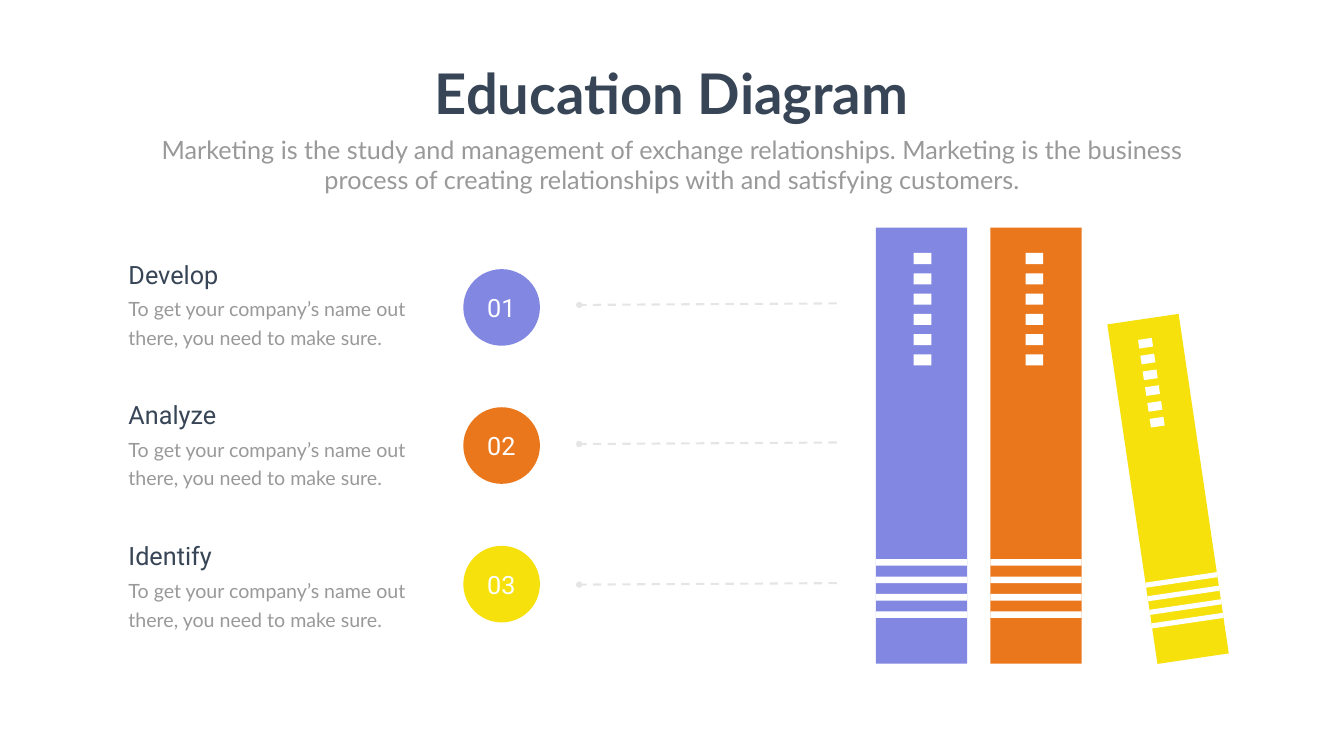
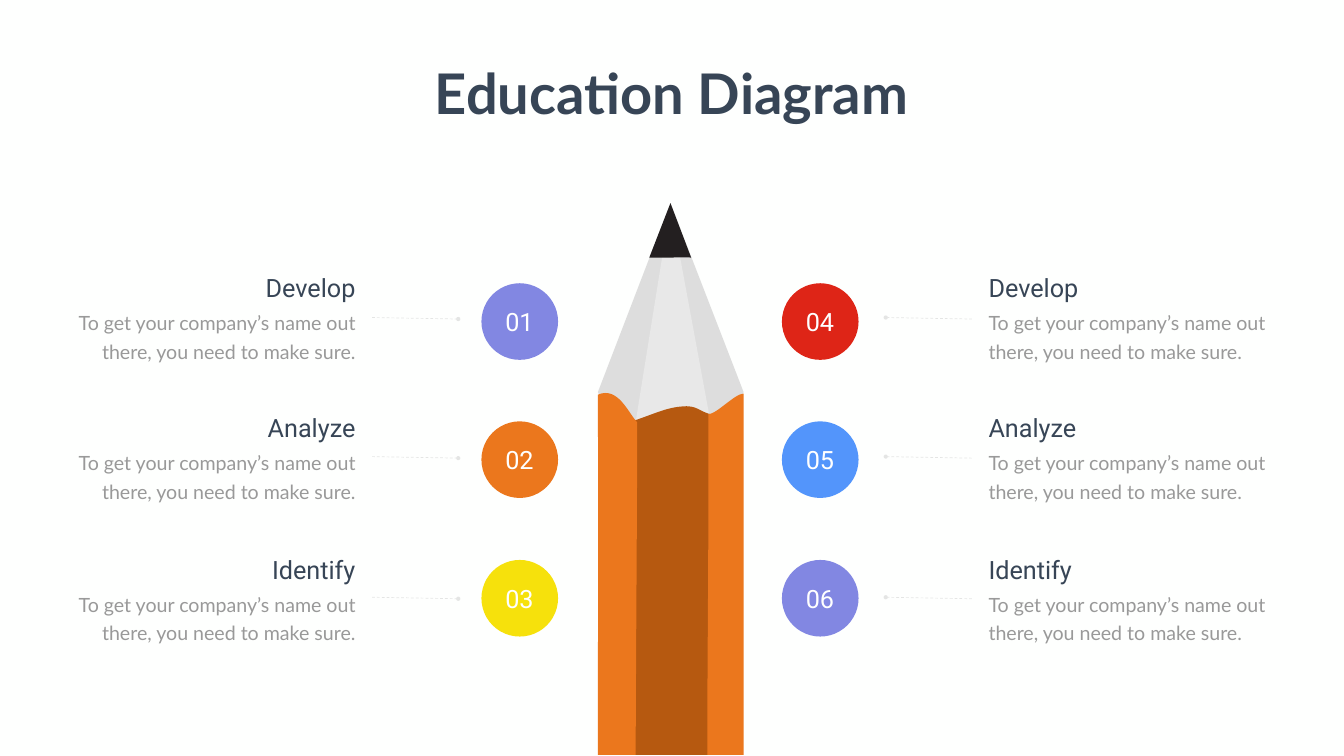
import math

from lxml import etree
from pptx import Presentation
from pptx import util as u
from pptx.dml.color import RGBColor
from pptx.enum import dml, shapes, text
from pptx.oxml import ns

COLOURS = {
    "page": "FEFFFE", "white": "FFFFFF", "ink": "374556", "muted": "999999",
    "leader": "808080", "violet": "8287E2", "orange": "EB771D",
    "yellow": "F6E10C", "red": "DE2517", "blue": "5395FB",
    "wood": "BFBFBF", "facet": "F2F2F2", "core": "B65910", "lead": "231F20",
}
# name: (font, size, colour, bold, line spacing in points)
STYLES = {
    "title": ("Lato", 80, "ink", True, None),
    "subtitle": ("Lato", 36, "muted", False, None),
    "heading": ("Roboto", 36, "ink", False, None),
    "detail": ("Lato", 28, "muted", False, 40.8),
    "number": ("Roboto", 36, "white", False, None),
}
ALIGN = text.PP_ALIGN
COLS, ROWS = 26.66, 15          # slide grid, one-inch cells
# Drop of each step below the first one
TEXT_ROWS = (0, 2.78, 5.59)
BADGE_ROWS = (0, 2.74, 5.49)
LEADER_ROWS = (0, 2.76, 5.55)
BADGE = 1.52
HEADINGS = ("Develop", "Analyze", "Identify")
DETAIL = "To get your company’s name out there, you need to make sure."
SUBTITLE = ("Marketing is the study and management of exchange relationships. "
            "Marketing is the business process of creating relationships "
            "with and satisfying customers.")


def grid(*cells):
    return [u.Inches(cell) for cell in cells]


def rgb(name):
    return RGBColor.from_string(COLOURS[name])


def set_opacity(shape, percent):
    for colour in shape._element.spPr.iter(ns.qn("a:srgbClr")):
        etree.SubElement(colour, ns.qn("a:alpha"), val=str(percent * 1000))


def write(shape, words, style, align, wrap=True):
    font, size, colour, bold, spacing = STYLES[style]
    frame = shape.text_frame
    frame.text = words
    frame.word_wrap = wrap
    frame.auto_size = text.MSO_AUTO_SIZE.NONE
    frame.vertical_anchor = text.MSO_ANCHOR.TOP
    paragraph = frame.paragraphs[0]
    paragraph.alignment = align
    paragraph.space_before = u.Pt(0)
    if spacing:
        paragraph.line_spacing = u.Pt(spacing)
    for run in paragraph.runs:
        run.font.name, run.font.size, run.font.bold = font, u.Pt(size), bold
        run.font.color.rgb = rgb(colour)


def add_label(slide, box, words, style, align):
    write(slide.shapes.add_textbox(*grid(*box)), words, style, align)


def paint(shape, colour):
    shape.shadow.inherit = False
    shape.fill.solid()
    shape.fill.fore_color.rgb = rgb(colour)
    shape.line.fill.background()


def add_block(slide, kind, box, colour, angle=0):
    block = slide.shapes.add_shape(kind, *grid(*box))
    block.rotation = angle
    paint(block, colour)


def fill_placeholder(placeholder, box, words, style, wrap=True):
    placeholder.left, placeholder.top, placeholder.width, placeholder.height = grid(*box)
    write(placeholder, words, style, ALIGN.CENTER, wrap)


def add_title(slide):
    fill_placeholder(slide.shapes.title, (8.44, 1.12, 9.77, 1.45),
                     "Education Diagram", "title", wrap=False)


def add_leader(slide, start, end, weight):
    leader = slide.shapes.add_connector(
        shapes.MSO_CONNECTOR.STRAIGHT, *grid(*start, *end))
    leader.line.color.rgb = rgb("leader")
    leader.line.width = u.Pt(weight)
    leader.line.dash_style = dml.MSO_LINE.DASH
    set_opacity(leader, 20)
    properties = leader._element.spPr
    etree.SubElement(properties.find(ns.qn("a:ln")), ns.qn("a:tailEnd"), type="oval")
    etree.SubElement(properties, ns.qn("a:effectLst"))


def add_steps(slide, top, text_edge, align, badge_at, badge_angle, leader, weight,
              colours, first=1):
    """Three numbered steps; text_edge is the side the text is aligned to."""
    (start_x, start_y), (end_x, end_y) = leader
    badge_left, first_badge_top = badge_at

    def text_box(y, width, height):
        left = text_edge - width if align == ALIGN.RIGHT else text_edge
        return left, y, width, height

    # Numbered badges
    for i, colour in enumerate(colours):
        badge_top = first_badge_top + BADGE_ROWS[i]
        add_block(slide, shapes.MSO_SHAPE.OVAL,
                  (badge_left, badge_top, BADGE, BADGE), colour, badge_angle)
        add_label(slide, (badge_left + 0.18, badge_top + 0.41, 1.15, 0.71),
                  f"{first + i:02}", "number", ALIGN.CENTER)
    # Dashed leaders
    for drop in LEADER_ROWS:
        add_leader(slide, (start_x, top + drop + start_y),
                   (end_x, top + drop + end_y), weight)
    # Details and headings
    for heading, drop in zip(HEADINGS, TEXT_ROWS):
        add_label(slide, text_box(top + drop + 0.66, 6.05, 1.19),
                  DETAIL, "detail", align)
        add_label(slide, text_box(top + drop, 5.11, 0.71), heading, "heading", align)


def add_book(slide, centre, length, thickness, colour, angle=270, slot_shift=0):
    """Book spine, drawn lying down and turned; parts are shares of its size."""
    turn = math.radians(angle)

    def add_part(share_along, share_l, share_t, part_colour, shift=0):
        part_l, part_t = share_l * length, share_t * thickness
        along = (0.5 - share_along) * length
        x = centre[0] + along * math.cos(turn) + shift
        y = centre[1] + along * math.sin(turn)
        add_block(slide, shapes.MSO_SHAPE.RECTANGLE,
                  (x - part_l / 2, y - part_t / 2, part_l, part_t),
                  part_colour, angle)

    add_part(0.5, 1, 1, colour)
    for band in reversed(range(4)):
        add_part(0.768 + band * 0.04, 0.015, 1, "white")
    for slot in reversed(range(6)):
        add_part(0.071 + slot * 0.0465, 0.0255, 0.193, "white", slot_shift)


def middle_of(start, bend_1, bend_2, end):
    """Halfway point of a cubic curve, which bounds it closely."""
    return tuple((a + 3 * b + 3 * c + d) / 8
                 for a, b, c, d in zip(start, bend_1, bend_2, end))


def add_outline(slide, origin, start, moves, colour, opacity=100):
    """Each move holds an end point, or two bends and an end point."""
    def place(point):
        return grid(origin[0] + point[0], origin[1] + point[1])

    points = [start]
    for move in moves:
        if len(move) == 3:
            points.append(middle_of(points[-1], *move))
        points.append(move[-1])
    builder = slide.shapes.build_freeform(*place(start))
    builder.add_line_segments([place(point) for point in points[1:]], close=True)
    outline = builder.convert_to_shape()

    # Replace the straight segments by the lines and curves of the moves
    path_xml = next(outline._element.iter(ns.qn("a:path")))
    for segment in path_xml.findall(ns.qn("a:lnTo")):
        path_xml.remove(segment)
    closing = path_xml.find(ns.qn("a:close"))
    for move in moves:
        segment = etree.Element(ns.qn("a:cubicBezTo" if len(move) == 3 else "a:lnTo"))
        for x, y in map(place, move):
            etree.SubElement(segment, ns.qn("a:pt"),
                             x=str(x - outline.left), y=str(y - outline.top))
        closing.addprevious(segment)

    paint(outline, colour)
    if opacity < 100:
        set_opacity(outline, opacity)


def add_pencil(slide, left, top):
    width, middle, foot = 2.89, 1.44, 10.95
    tip = (middle, 0)
    parts = [
        # Sharpened wood and its light facet
        ((0, 3.75), [[tip], [(width, 3.75)],
                     [(1.94, 5.96), (0.97, 5.89), (0, 3.75)]], "wood", 52),
        ((0.71, 4.58), [[(middle, 0.04)], [(2.26, 4.48)],
                        [(1.73, 4.93), (1.3, 4.86), (0.71, 4.58)]], "facet", 54),
        # Painted body: middle, left and right sides
        ((0.58, foot), [[(0.57, 8.96), (0.59, 7.25), (0.58, 4.36)],
                        [(1.13, 4.19), (1.35, 4.04), (1.76, 4.03)],
                        [(2.01, 4.03), (2.09, 4.2), (2.34, 4.2)],
                        [(2.35, 7.11), (2.32, 8.89), (2.33, foot)]], "core"),
        ((0, foot), [[(0, 8.46), (0.01, 7.06), (0, 3.8)],
                     [(0.4, 3.63), (0.6, 4.16), (0.78, 4.35)],
                     [(0.78, 5.87), (0.75, 9.85), (0.75, foot)]], "orange"),
        ((2.17, foot), [[(2.17, 8.64), (2.2, 7.42), (2.19, 4.19)],
                        [(2.35, 4.19), (2.72, 3.78), (width, 3.78)],
                        [(width, 5.49), (width, 9.68), (width, foot)]], "orange"),
        # Lead
        ((1.02, 1.08), [[tip], [(1.85, 1.08)],
                        [(1.64, 1.07), (1.32, 1.09), (1.02, 1.08)]], "lead"),
    ]
    for part in parts:
        add_outline(slide, (left, top), *part)


def build_books_slide(prs):
    slide = prs.slides.add_slide(prs.slide_layouts[0])
    add_title(slide)
    fill_placeholder(slide.placeholders[1], (2.92, 2.61, 20.82, 1.31),
                     SUBTITLE, "subtitle")
    add_steps(slide, 5.09, 2.45, ALIGN.LEFT, (9.19, 5.34), 45,
              ((16.6, 0.93), (11.49, 0.96)), 3, ("violet", "orange", "yellow"))
    add_book(slide, (20.55, 8.84), 8.65, 1.81, "orange", slot_shift=-0.03)
    add_book(slide, (18.28, 8.84), 8.65, 1.81, "violet", slot_shift=0.02)
    add_book(slide, (23.17, 9.7), 6.81, 1.43, "yellow", 261.6, slot_shift=-0.02)


def build_pencil_slide(prs):
    slide = prs.slides.add_slide(prs.slide_layouts[5])
    add_title(slide)
    add_steps(slide, 5.36, 19.51, ALIGN.LEFT, (15.51, 5.62), 45,
              ((19.28, 0.97), (17.57, 0.94)), 1, ("red", "blue", "violet"), first=4)
    add_pencil(slide, 11.86, 4.03)
    add_steps(slide, 5.36, 7.15, ALIGN.RIGHT, (9.55, 5.62), 315,
              ((7.38, 0.94), (9.09, 0.97)), 1, ("violet", "orange", "yellow"))


def main():
    prs = Presentation()
    prs.slide_width, prs.slide_height = grid(COLS, ROWS)
    page = prs.slide_master.background.fill
    page.solid()
    page.fore_color.rgb = rgb("page")
    build_books_slide(prs)
    build_pencil_slide(prs)
    prs.save("out.pptx")


if __name__ == "__main__":
    main()
